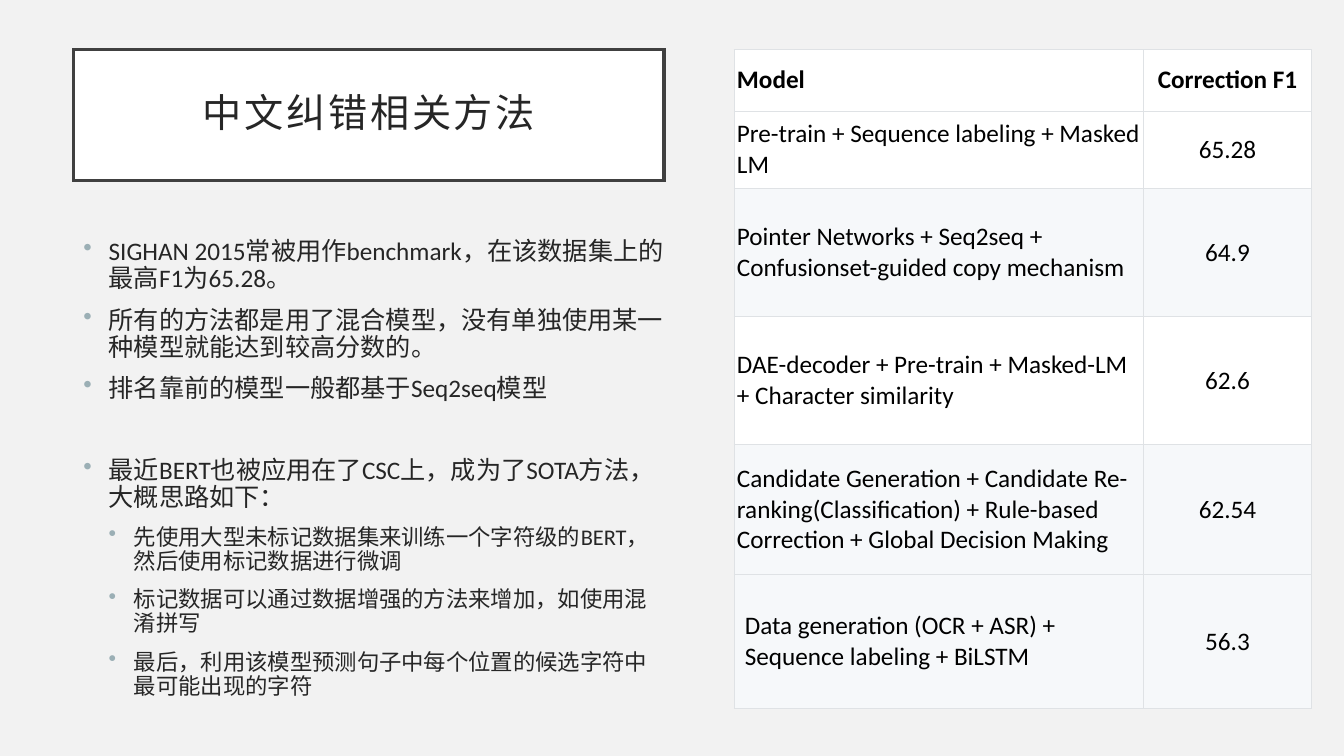
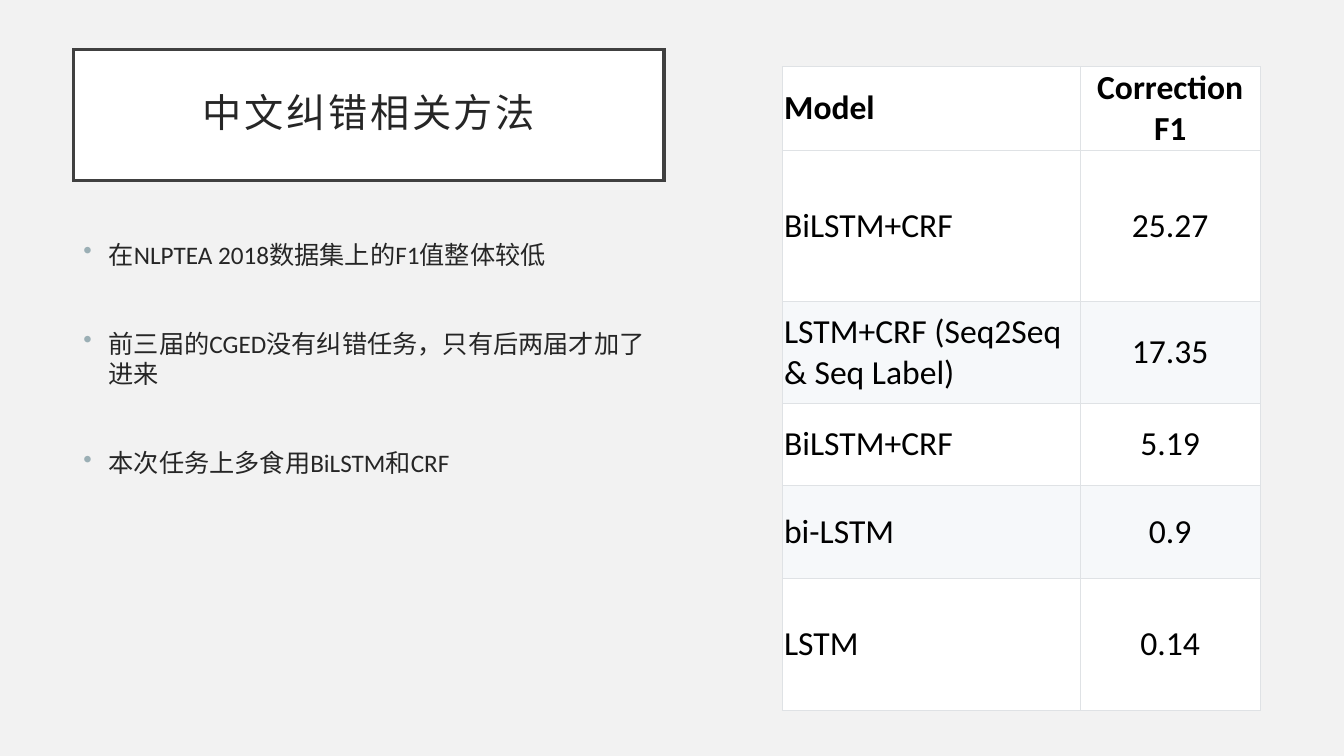
from lxml.etree import SubElement, fromstring
from pptx import Presentation
from pptx.dml.color import RGBColor as RGB
from pptx.enum.lang import MSO_LANGUAGE_ID as LANG
from pptx.enum.shapes import MSO_SHAPE as SHAPE
from pptx.enum.text import MSO_ANCHOR as ANCHOR, PP_ALIGN as ALIGN
from pptx.oxml.ns import nsdecls, qn
from pptx.util import Pt

COLORS = {
    "background": "F2F2F2", "white": "FFFFFF", "shade": "F6F8FA",
    "frame": "404040", "grid": "DFE2E5", "bullet": "9BAFB5",
    "text": "262626", "cell": "000000",
}
TITLE = "中文纠错相关方法"
HEADINGS = ("Model", "Correction F1")
LEFT = 52.56


class Deck:
    """Holds the shared style and the current slide."""

    def __init__(self):
        self.show = Presentation()
        self.show.slide_width, self.show.slide_height = Pt(960), Pt(540)
        self.slide = None

    def color(self, name):
        return RGB.from_string(COLORS[name])

    def apply(self, target, formats):
        for name, value in formats.items():
            setattr(target, name, value)

    def paint(self, fill, name):
        fill.solid()
        fill.fore_color.rgb = self.color(name)

    def add_words(self, paragraph, text, size, color, bold=False):
        run = paragraph.add_run()
        run.text = text
        self.apply(run.font, {"name": "Calibri", "size": Pt(size), "bold": bold,
                              "language_id": LANG.SIMPLIFIED_CHINESE})
        run.font.color.rgb = self.color(color)
        return run

    def new_slide(self):
        self.slide = self.show.slides.add_slide(self.show.slide_layouts[6])
        self.paint(self.slide.background.fill, "background")

    def title(self, text):
        frame = self.slide.shapes.add_shape(
            SHAPE.RECTANGLE, Pt(LEFT), Pt(35.28), Pt(421.92), Pt(93.6))
        frame.shadow.inherit = False
        self.paint(frame.fill, "white")
        self.paint(frame.line.fill, "frame")
        frame.line.width = Pt(2.5)
        SubElement(frame.line._get_or_add_ln(), qn("a:miter"), lim="800000")
        inset = Pt(14.4)
        self.apply(frame.text_frame, {
            "word_wrap": True, "vertical_anchor": ANCHOR.MIDDLE,
            "margin_left": inset, "margin_right": inset,
            "margin_top": inset, "margin_bottom": inset})
        heading = frame.text_frame.paragraphs[0]
        self.apply(heading, {"alignment": ALIGN.CENTER, "line_spacing": 0.9})
        run = self.add_words(heading, text, 28, "text")
        run._r.get_or_add_rPr().set("spc", "200")

    def bullets(self, height, points, line_spacing):
        body = self.slide.shapes.add_textbox(
            Pt(LEFT), Pt(167.04), Pt(430.56), Pt(height)).text_frame
        body.word_wrap = True
        for index, (level, space, text) in enumerate(points):
            point = body.add_paragraph() if index else body.paragraphs[0]
            self.apply(point, {"level": level, "space_before": Pt(space),
                               "line_spacing": line_spacing})
            properties = point._p.get_or_add_pPr()
            properties.set("marL", str(Pt(18 * (level + 1))))
            properties.set("indent", str(Pt(-18)))
            tint = SubElement(properties, qn("a:buClr"))
            SubElement(tint, qn("a:srgbClr"), val=COLORS["bullet"])
            SubElement(properties, qn("a:buChar"), char="•")
            self.add_words(point, text, 18 - 2 * level, "text")

    def borders(self, cell):
        properties = cell._tc.get_or_add_tcPr()
        for index, side in enumerate(("lnL", "lnR", "lnT", "lnB")):
            properties.insert(index, fromstring(
                f'<a:{side} {nsdecls("a")} w="{Pt(0.6)}"><a:solidFill>'
                f'<a:srgbClr val="{COLORS["grid"]}"/></a:solidFill></a:{side}>'))

    def scores(self, left, top, widths, heights, results, size, insets, shaded):
        table = self.slide.shapes.add_table(
            len(heights), len(widths), Pt(left), Pt(top),
            Pt(sum(widths)), Pt(sum(heights))).table
        self.apply(table, {"first_row": False, "horz_banding": False})
        for column, width in zip(table.columns, widths):
            column.width = Pt(width)
        for index, entries in enumerate((HEADINGS, *results)):
            table.rows[index].height = Pt(heights[index])
            side, edge = insets[index]
            for position, text in enumerate(entries):
                cell = table.cell(index, position)
                self.apply(cell, {
                    "vertical_anchor": ANCHOR.MIDDLE,
                    "margin_left": Pt(side), "margin_right": Pt(side),
                    "margin_top": Pt(edge), "margin_bottom": Pt(edge)})
                self.paint(cell.fill, "shade" if index in shaded else "white")
                self.borders(cell)
                entry = cell.text_frame.paragraphs[0]
                entry.alignment = ALIGN.CENTER if position else ALIGN.LEFT
                self.add_words(entry, text, size, "cell", bold=index == 0)


deck = Deck()

deck.new_slide()
deck.title(TITLE)
deck.bullets(357.84, [
    (0, 10, "SIGHAN 2015常被用作benchmark，在该数据集上的最高F1为65.28。"),
    (0, 10, "所有的方法都是用了混合模型，没有单独使用某一种模型就能达到较高分数的。"),
    (0, 10, "排名靠前的模型一般都基于Seq2seq模型"),
    (0, 39, "最近BERT也被应用在了CSC上，成为了SOTA方法，大概思路如下："),
    (1, 10, "先使用大型未标记数据集来训练一个字符级的BERT，然后使用标记数据进行微调"),
    (1, 10, "标记数据可以通过数据增强的方法来增加，如使用混淆拼写"),
    (1, 10, "最后，利用该模型预测句子中每个位置的候选字符中最可能出现的字符"),
], 0.9)
deck.scores(524.4, 35.28, (292.32, 120.24),
            (43.92, 55.44, 91.44, 91.44, 92.88, 95.76), [
    ("Pre-train + Sequence labeling + Masked LM", "65.28"),
    ("Pointer Networks + Seq2seq + Confusionset-guided copy mechanism", "64.9"),
    ("DAE-decoder + Pre-train + Masked-LM + Character similarity", "62.6"),
    ("Candidate Generation + Candidate Re-ranking(Classification) + "
     "Rule-based Correction + Global Decision Making", "62.54"),
    ("Data generation (OCR + ASR) + Sequence labeling + BiLSTM", "56.3"),
], 18, [(2, 1.4)] * 5 + [(7.6, 3.8)], (2, 4, 5))

deck.new_slide()
deck.title(TITLE)
deck.bullets(244.08, [
    (0, 10, "在NLPTEA 2018数据集上的F1值整体较低"),
    (0, 42, "前三届的CGED没有纠错任务，只有后两届才加了进来"),
    (0, 42, "本次任务上多食用BiLSTM和CRF"),
], 1.0)
deck.scores(558.72, 47.52, (213.12, 128.16),
            (59.76, 108, 72.72, 59.04, 66.24, 94.32), [
    ("BiLSTM+CRF", "25.27"),
    ("LSTM+CRF (Seq2Seq & Seq Label)", "17.35"),
    ("BiLSTM+CRF", "5.19"),
    ("bi-LSTM", "0.9"),
    ("LSTM", "0.14"),
], 24, [(1.4, 0.7)] * 6, (2, 4))

deck.show.save("out.pptx")
